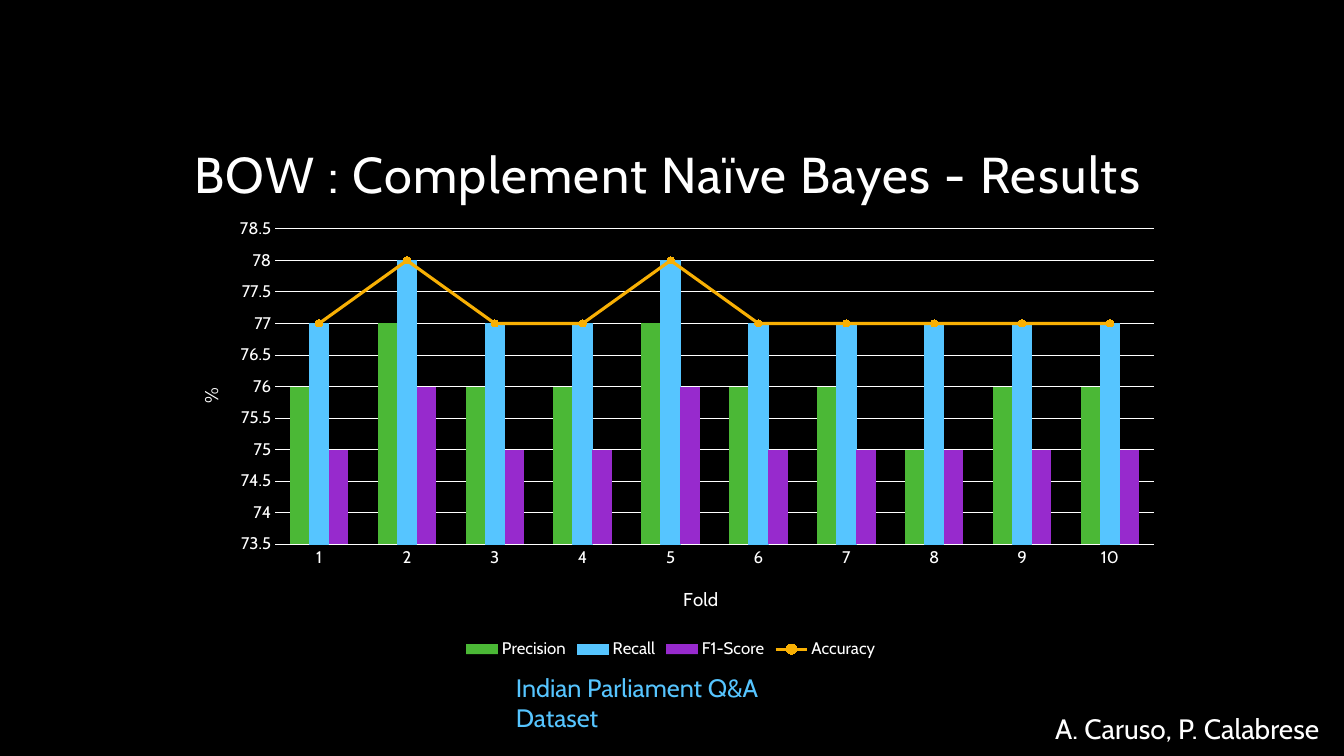
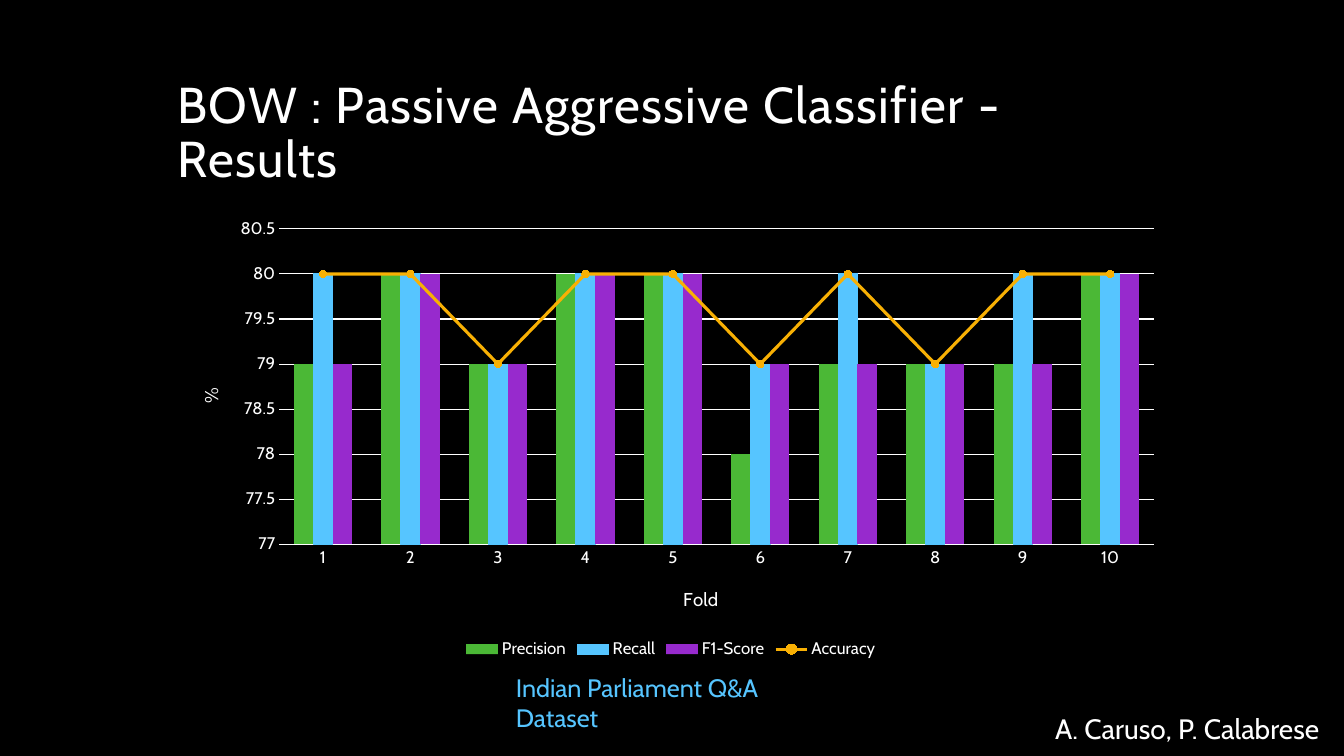
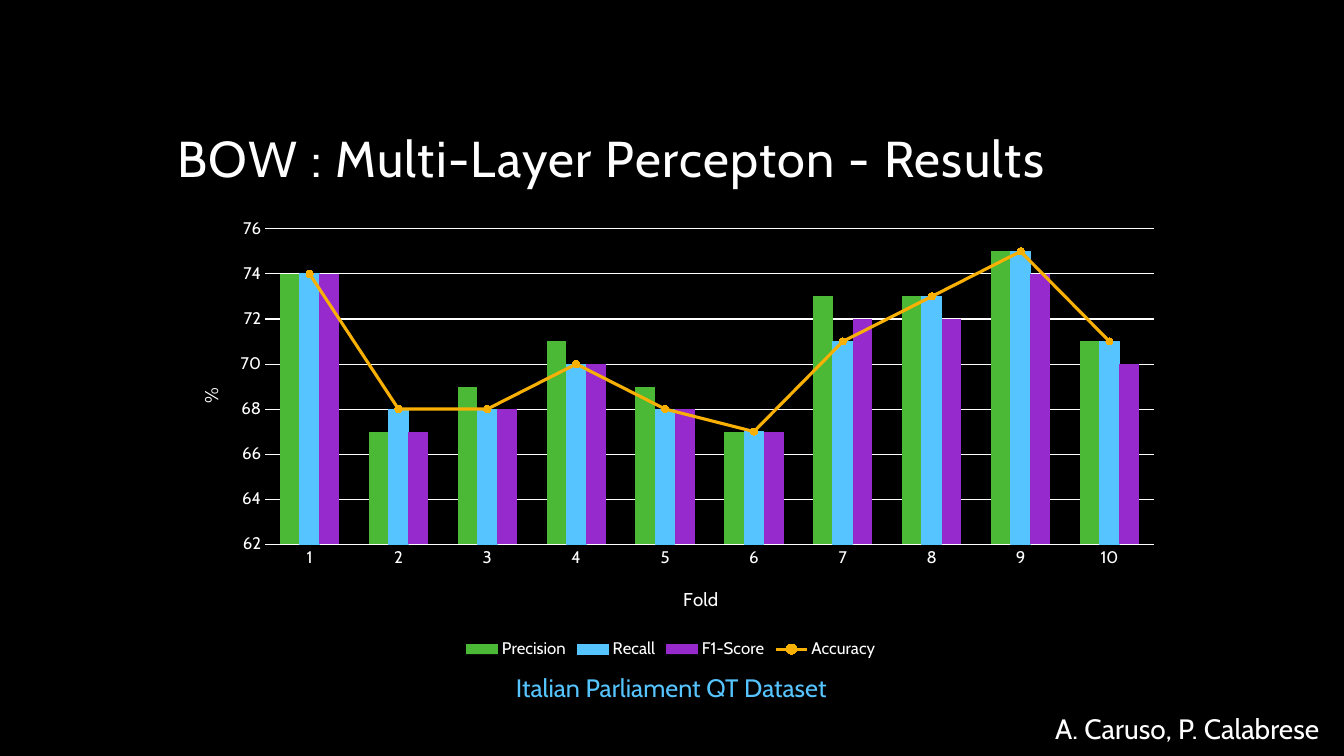
from lxml import etree
from pptx import Presentation
from pptx.chart.data import CategoryChartData
from pptx.dml.color import RGBColor
from pptx.enum.chart import (XL_CHART_TYPE, XL_LEGEND_POSITION,
                             XL_MARKER_STYLE, XL_TICK_MARK)
from pptx.enum.text import MSO_ANCHOR
from pptx.oxml import parse_xml
from pptx.oxml.ns import qn
from pptx.util import Cm, Pt

COLUMNS = XL_CHART_TYPE.COLUMN_CLUSTERED
LEGEND_BOTTOM = XL_LEGEND_POSITION.BOTTOM
CIRCLE = XL_MARKER_STYLE.CIRCLE
NO_TICK = XL_TICK_MARK.NONE
TOP, BOTTOM = MSO_ANCHOR.TOP, MSO_ANCHOR.BOTTOM

FONT = "Cabin"
BLACK, WHITE = "000000", "FFFFFF"
GREEN, BLUE, PURPLE, ORANGE = "4BB836", "56C5FF", "972ACD", "F8B004"
SERIES_COLORS = {"Precision": GREEN, "Recall": BLUE,
                 "F1-Score": PURPLE, "Accuracy": ORANGE}
CHART_NAMESPACE = "http://schemas.openxmlformats.org/drawingml/2006/chart"
AUTHORS = "A. Caruso, P. Calabrese"
PLOT_RIGHT = 0.98

# plot_left is a share of the chart width; scale is minimum, maximum, step
RESULTS = [
    {"title": "BOW : Complement Naïve Bayes - Results",
     "title_position": (4.65, 1.47),
     "dataset": "Indian Parliament Q&A Dataset",
     "plot_left": 0.107, "scale": (73.5, 78.5, 0.5),
     "scores": [(76, 77, 76, 76, 77, 76, 76, 75, 76, 76),
                (77, 78, 77, 77, 78, 77, 77, 77, 77, 77),
                (75, 76, 75, 75, 76, 75, 75, 75, 75, 75),
                (77, 78, 77, 77, 78, 77, 77, 77, 77, 77)]},
    {"title": "BOW : Passive Aggressive Classifier - Results",
     "title_position": (4.22, 1.07),
     "dataset": "Indian Parliament Q&A Dataset",
     "plot_left": 0.111, "scale": (77, 80.5, 0.5),
     "scores": [(79, 80, 79, 80, 80, 78, 79, 79, 79, 80),
                (80, 80, 79, 80, 80, 79, 80, 79, 80, 80),
                (79, 80, 79, 80, 80, 79, 79, 79, 79, 80),
                (80, 80, 79, 80, 80, 79, 80, 79, 80, 80)]},
    {"title": "BOW : Multi-Layer Percepton - Results",
     "title_position": (4.22, 1.07),
     "dataset": "Italian Parliament QT Dataset",
     "plot_left": 0.097, "scale": (62, 76, 2),
     "scores": [(74, 67, 69, 71, 69, 67, 73, 73, 75, 71),
                (74, 68, 68, 70, 68, 67, 71, 73, 75, 71),
                (74, 67, 68, 70, 68, 67, 72, 72, 74, 70),
                (74, 68, 68, 70, 68, 67, 71, 73, 75, 71)]},
]


def rgb(color):
    return RGBColor.from_string(color)


def format_font(font, size, color=WHITE):
    font.name = FONT
    font.size = Pt(size)
    font.bold = False
    font.color.rgb = rgb(color)


def format_line(line, color, width):
    line.color.rgb = rgb(color)
    line.width = Pt(width)


def add_text(slide, text, left, top, width, height, *, size, color=WHITE,
             anchor=TOP, line_spacing=1.0, letter_spacing=0):
    shape = slide.shapes.add_textbox(Cm(left), Cm(top), Cm(width), Cm(height))
    frame = shape.text_frame
    frame.word_wrap = True
    frame.vertical_anchor = anchor
    paragraph = frame.paragraphs[0]
    paragraph.line_spacing = line_spacing
    run = paragraph.add_run()
    run.text = text
    format_font(run.font, size, color)
    if letter_spacing:
        run.font._element.set("spc", str(letter_spacing * 100))


def set_layout(element, index, **settings):
    """Give a chart element a manual layout as its child number index."""
    for layout in element.findall(qn("c:layout")):
        element.remove(layout)
    layout = etree.Element(qn("c:layout"))
    manual = etree.SubElement(layout, qn("c:manualLayout"))
    for name, value in settings.items():
        etree.SubElement(manual, qn(f"c:{name}")).set("val", str(value))
    element.insert(index, layout)


def format_axis(axis, title, x, y, rotation):
    axis.major_tick_mark = axis.minor_tick_mark = NO_TICK
    format_font(axis.tick_labels.font, 12)
    frame = axis.axis_title.text_frame
    frame.text = title
    format_font(frame.paragraphs[0].runs[0].font, 13.3)
    body = frame._txBody.find(qn("a:bodyPr"))
    body.set("rot", str(rotation * 60000))
    body.set("vert", "horz")
    set_layout(axis.axis_title._element, 1, xMode="edge", yMode="edge", x=x, y=y)


def move_last_series_to_line(chart):
    columns = chart.plots[0]._element
    series = columns.findall(qn("c:ser"))[-1]
    invert = series.find(qn("c:invertIfNegative"))
    if invert is not None:
        series.remove(invert)
    axis_ids = "".join(f'<c:axId val="{axis.get("val")}"/>'
                       for axis in columns.findall(qn("c:axId")))
    line = parse_xml(
        f'<c:lineChart xmlns:c="{CHART_NAMESPACE}"><c:grouping val="standard"/>'
        f'<c:varyColors val="0"/><c:marker val="1"/>{axis_ids}</c:lineChart>')
    line.insert(2, series)
    columns.addnext(line)


def format_series(chart):
    columns, line = chart.plots
    columns.gap_width = 150
    columns.overlap = 0
    columns.vary_by_categories = False
    for series in columns.series:
        series.format.fill.solid()
        series.format.fill.fore_color.rgb = rgb(SERIES_COLORS[series.name])
        if series.name == "Recall":
            format_line(series.format.line, BLUE, 0.75)
    accuracy = line.series[0]
    accuracy.smooth = False
    format_line(accuracy.format.line, ORANGE, 2.25)
    marker = accuracy.marker
    marker.style = CIRCLE
    marker.size = 5
    marker.format.fill.solid()
    marker.format.fill.fore_color.rgb = rgb(ORANGE)
    format_line(marker.format.line, ORANGE, 0.75)


def add_score_chart(slide, scores, scale, plot_left):
    data = CategoryChartData()
    data.categories = [str(fold) for fold in range(1, 11)]
    for name, values in zip(SERIES_COLORS, scores):
        data.add_series(name, values)
    chart = slide.shapes.add_chart(COLUMNS, Cm(4.22), Cm(5.28), Cm(25.37),
                                   Cm(11.43), data).chart
    chart.has_title = False
    format_font(chart.font, 10)
    move_last_series_to_line(chart)
    format_series(chart)

    format_axis(chart.category_axis, "Fold", 0.509, 0.824, rotation=0)
    format_line(chart.category_axis.format.line, WHITE, 0.75)
    value_axis = chart.value_axis
    format_axis(value_axis, "%", 0.027, 0.385, rotation=-90)
    value_axis.format.line.fill.background()
    format_line(value_axis.major_gridlines.format.line, WHITE, 0.75)
    (value_axis.minimum_scale, value_axis.maximum_scale,
     value_axis.major_unit) = scale

    chart.has_legend = True
    chart.legend.position = LEGEND_BOTTOM
    chart.legend.include_in_layout = False
    format_font(chart.legend.font, 12)
    plot_area = chart.plots[0]._element.getparent()
    set_layout(plot_area, 0, layoutTarget="inner", xMode="edge", yMode="edge",
               x=plot_left, y=0.043, w=round(PLOT_RIGHT - plot_left, 3), h=0.695)


def add_result_slide(presentation, result):
    slide = presentation.slides.add_slide(presentation.slide_layouts[6])
    add_score_chart(slide, result["scores"], result["scale"], result["plot_left"])
    add_text(slide, AUTHORS, 26.34, 17.81, 7.3, 1.12, size=20)
    add_text(slide, result["dataset"], 12.75, 16.81, 8.81, 1.02,
             size=18, color=BLUE)
    add_text(slide, result["title"], *result["title_position"], 25.4, 3.81,
             size=36, anchor=BOTTOM, line_spacing=0.9, letter_spacing=1)


def main():
    presentation = Presentation()
    presentation.slide_width = Cm(33.87)
    presentation.slide_height = Cm(19.05)
    background = presentation.slide_master.background.fill
    background.solid()
    background.fore_color.rgb = rgb(BLACK)
    for result in RESULTS:
        add_result_slide(presentation, result)
    presentation.save("out.pptx")


if __name__ == "__main__":
    main()
